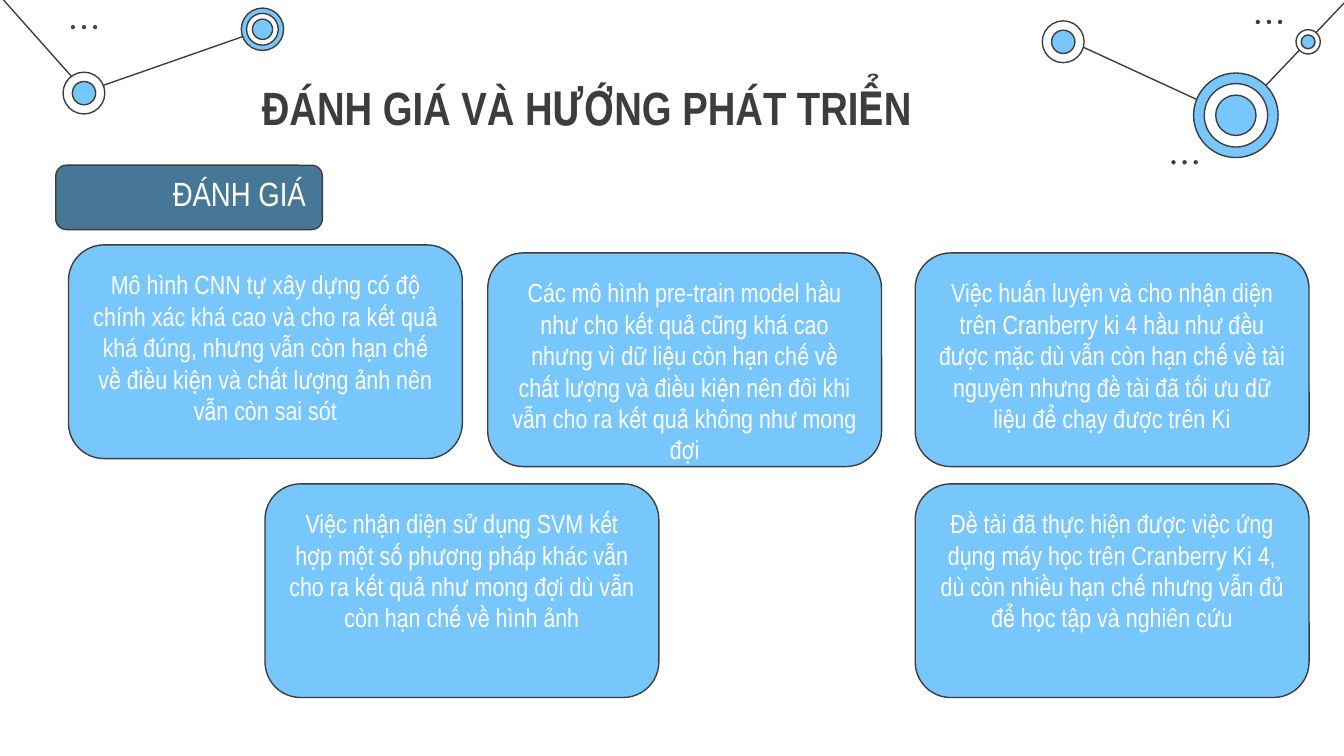
from typing import NamedTuple

from lxml import etree
from pptx import Presentation
from pptx.dml.color import RGBColor
from pptx.enum.shapes import MSO_CONNECTOR, MSO_SHAPE
from pptx.enum.text import MSO_ANCHOR, PP_ALIGN
from pptx.oxml.ns import qn
from pptx.util import Pt

OVAL = MSO_SHAPE.OVAL
ROUNDED = MSO_SHAPE.ROUNDED_RECTANGLE
STRAIGHT = MSO_CONNECTOR.STRAIGHT
TOP, BOTTOM = MSO_ANCHOR.TOP, MSO_ANCHOR.BOTTOM
LEFT, CENTER, RIGHT = PP_ALIGN.LEFT, PP_ALIGN.CENTER, PP_ALIGN.RIGHT

FONT = "Arial Narrow"
DARK, GREY, WHITE = "3D3D3D", "494949", "FFFFFF"
BLUE, TEAL = "77C6FC", "477797"
LINE_W = 0.75
INSET = 7.2
CARD_W, CARD_H = 211, 114.5
DOT_SIZE, DOT_STEP = 2.3, 5.95


class Link(NamedTuple):
    x1: float
    y1: float
    x2: float
    y2: float


class Node(NamedTuple):
    """Concentric discs; diameters run from the outermost inwards."""
    x: float
    y: float
    diameters: tuple[float, ...]


class Dots(NamedTuple):
    x: float
    y: float
    color: str


class Card(NamedTuple):
    x: float
    y: float
    text: str


LINKS = [
    Link(46, 49, 141, 15.8),
    Link(1.9, 0, 46, 49.6),
    Link(662.2, 63, 571, 21),
    Link(720, 1.7, 662.2, 62.6),
]
NODES = [
    Node(45, 49.9, (22.4, 12.5)),
    Node(140.6, 15.7, (22.7, 17, 10.8)),
    Node(662.1, 61.8, (45.3, 34, 21.6)),
    Node(569.6, 22.4, (22.4, 12.5)),
    Node(700.8, 22.4, (13, 7.4)),
]
DOTS = [
    Dots(37.9, 13.4, GREY),
    Dots(672.7, 10.6, DARK),
    Dots(627.5, 85.8, DARK),
]
CARDS = [
    Card(36.7, 131.2, "Mô hình CNN tự xây dựng có độ chính xác khá cao và cho ra "
         "kết quả khá đúng, nhưng vẫn còn hạn chế về điều kiện và chất lượng ảnh "
         "nên vẫn còn sai sót"),
    Card(261.3, 135.5, "Các mô hình pre-train model hầu như cho kết quả cũng khá "
         "cao nhưng vì dữ liệu còn hạn chế về chất lượng và điều kiện nên đôi khi "
         "vẫn cho ra kết quả không như mong đợi"),
    Card(490.3, 135.5, "Việc huấn luyện và cho nhận diện trên Cranberry ki 4 hầu "
         "như đều được mặc dù vẫn còn hạn chế về tài nguyên nhưng đề tài đã tối ưu "
         "dữ liệu để chạy được trên Ki"),
    Card(490.3, 259.2, "Đề tài đã thực hiện được việc ứng dụng máy học trên "
         "Cranberry Ki 4, dù còn nhiều hạn chế nhưng vẫn đủ để học tập và "
         "nghiên cứu"),
    Card(142, 259.2, "Việc nhận diện sử dụng SVM kết hợp một số phương pháp khác "
         "vẫn cho ra kết quả như mong đợi dù vẫn còn hạn chế về hình ảnh"),
]


def rgb(color: str) -> RGBColor:
    return RGBColor.from_string(color)


def add_shape(s, kind, x: float, y: float, w: float, h: float,
              fill: str, outlined: bool = True):
    sp = s.shapes.add_shape(kind, Pt(x), Pt(y), Pt(w), Pt(h))
    sp.shadow.inherit = False
    sp.fill.solid()
    sp.fill.fore_color.rgb = rgb(fill)
    if outlined:
        sp.line.color.rgb = rgb(DARK)
        sp.line.width = Pt(LINE_W)
    else:
        sp.line.fill.background()
    return sp


def set_text(sp, text: str, size: float, color: str, align,
             anchor=TOP, bold: bool = False) -> None:
    tf = sp.text_frame
    tf.word_wrap = True
    tf.vertical_anchor = anchor
    tf.margin_left = tf.margin_right = Pt(INSET)
    tf.margin_top = tf.margin_bottom = Pt(INSET)
    tf.text = text
    p = tf.paragraphs[0]
    p.alignment = align
    font = p.runs[0].font
    font.name, font.size, font.bold = FONT, Pt(size), bold
    font.color.rgb = rgb(color)


def draw_link(s, link: Link) -> None:
    line = s.shapes.add_connector(STRAIGHT, *(Pt(v) for v in link))
    line.line.color.rgb = rgb(DARK)
    line.line.width = Pt(LINE_W)
    etree.SubElement(line._element.spPr, qn("a:effectLst"))


def draw_node(s, node: Node) -> None:
    # Colours alternate, and the innermost disc is always blue
    last = len(node.diameters) - 1
    for i, d in enumerate(node.diameters):
        fill = WHITE if (last - i) % 2 else BLUE
        add_shape(s, OVAL, node.x - d / 2, node.y - d / 2, d, d, fill)


def draw_dots(s, dots: Dots) -> None:
    for i in range(3):
        add_shape(s, OVAL, dots.x + i * DOT_STEP, dots.y, DOT_SIZE, DOT_SIZE,
                  dots.color, outlined=False)


def draw_card(s, card: Card) -> None:
    sp = add_shape(s, ROUNDED, card.x, card.y, CARD_W, CARD_H, BLUE)
    set_text(sp, card.text, 14, WHITE, CENTER)


def main() -> None:
    prs = Presentation()
    prs.slide_width, prs.slide_height = Pt(720), Pt(405)
    s = prs.slides.add_slide(prs.slide_layouts[6])

    # Network decoration
    for link in LINKS:
        draw_link(s, link)
    for node in NODES:
        draw_node(s, node)
    for dots in DOTS:
        draw_dots(s, dots)

    # Title
    title = s.shapes.add_textbox(Pt(133.2), Pt(35.3), Pt(453), Pt(45.4))
    set_text(title, "ĐÁNH GIÁ VÀ HƯỚNG PHÁT TRIỂN", 25, DARK, LEFT, bold=True)

    # Section label
    label = add_shape(s, ROUNDED, 29.9, 88.5, 142.8, 34.5, TEAL)
    set_text(label, "ĐÁNH GIÁ", 18, WHITE, RIGHT, BOTTOM)

    # Evaluation cards
    for card in CARDS:
        draw_card(s, card)

    prs.save("out.pptx")


if __name__ == "__main__":
    main()
